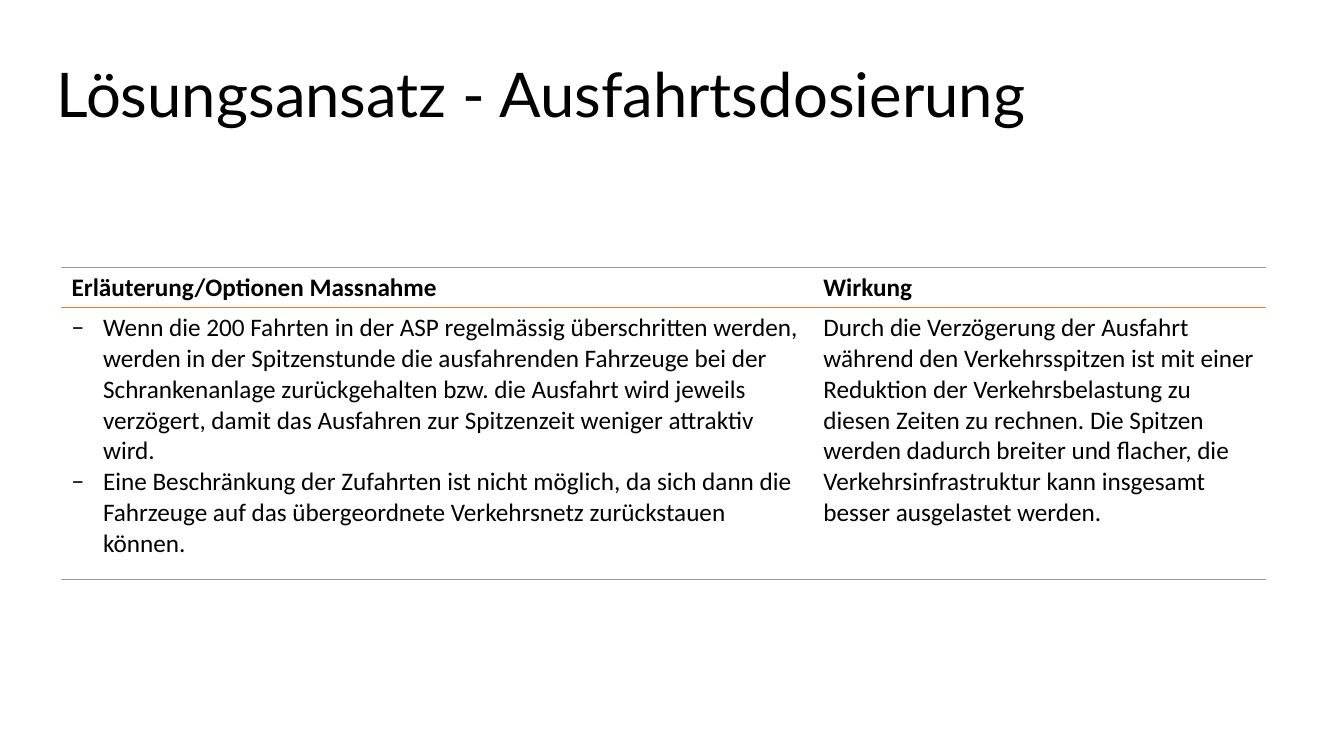
from lxml.etree import SubElement
from pptx import Presentation
from pptx.dml.color import RGBColor
from pptx.enum.text import MSO_ANCHOR as Anchor
from pptx.oxml.ns import qn
from pptx.util import Pt

BLACK = RGBColor(0x00, 0x00, 0x00)
ORANGE = RGBColor(0xED, 0x7D, 0x31)
GREY = RGBColor(0x99, 0x99, 0x99)

TITLE = "Lösungsansatz - Ausfahrtsdosierung"
HEADERS = ["Erläuterung/Optionen Massnahme", "Wirkung"]
MEASURES = [
    "Wenn die 200 Fahrten in der ASP regelmässig überschritten werden, werden in der "
    "Spitzenstunde die ausfahrenden Fahrzeuge bei der Schrankenanlage zurückgehalten bzw. "
    "die Ausfahrt wird jeweils verzögert, damit das Ausfahren zur Spitzenzeit weniger "
    "attraktiv wird.",
    "Eine Beschränkung der Zufahrten ist nicht möglich, da sich dann die Fahrzeuge auf das "
    "übergeordnete Verkehrsnetz zurückstauen können.",
]
EFFECT = (
    "Durch die Verzögerung der Ausfahrt während den Verkehrsspitzen ist mit einer Reduktion "
    "der Verkehrsbelastung zu diesen Zeiten zu rechnen. Die Spitzen werden dadurch breiter "
    "und flacher, die Verkehrsinfrastruktur kann insgesamt besser ausgelastet werden."
)


def style_font(font, name, size, bold=False):
    font.name, font.size, font.bold = name, Pt(size), bold
    font.color.rgb = BLACK


def add_title(page, left, top, width, height):
    box = page.shapes.add_textbox(Pt(left), Pt(top), Pt(width), Pt(height))
    frame = box.text_frame
    frame.word_wrap = True
    frame.vertical_anchor = Anchor.TOP
    frame.margin_top = Pt(4.7)
    frame.text = TITLE
    para = frame.paragraphs[0]
    para.line_spacing = 0.9
    style_font(para.runs[0].font, "Lato", 44)


def add_border(cell, side, color=None, width=0):
    line = SubElement(cell._tc.get_or_add_tcPr(), qn(f"a:ln{side}"), w=str(Pt(width)))
    if color is None:
        SubElement(line, qn("a:noFill"))
    else:
        fill = SubElement(line, qn("a:solidFill"))
        SubElement(fill, qn("a:srgbClr"), val=str(color))


def add_dash(para):
    properties = para._p.get_or_add_pPr()
    properties.set("marL", str(Pt(22.5)))
    properties.set("indent", str(Pt(-22.5)))
    SubElement(properties, qn("a:buFont"), typeface="Calibri")
    SubElement(properties, qn("a:buChar"), char="−")


def fill_cell(cell, texts, top_line, bottom_line, bold=False, dashed=False):
    # Borders come before the fill in the cell properties
    add_border(cell, "L")
    add_border(cell, "R")
    add_border(cell, "T", *top_line)
    add_border(cell, "B", *bottom_line)
    cell.fill.background()
    cell.text_frame.text = "\n".join(texts)
    for para in cell.text_frame.paragraphs:
        if dashed:
            add_dash(para)
        style_font(para.runs[0].font, "Calibri", 18, bold)


def add_measures_table(page, left, top, width, height):
    frame = page.shapes.add_table(2, 2, Pt(left), Pt(top), Pt(width), Pt(height))
    table = frame.table
    table.first_row = table.horz_banding = False
    first_width, header_height = 537, 29
    table.columns[0].width = Pt(first_width)
    table.columns[1].width = Pt(width - first_width)
    table.rows[0].height = Pt(header_height)
    table.rows[1].height = Pt(height - header_height)

    outer, divider = (GREY, 0.5), (ORANGE, 1)
    # Header row
    for column, header in enumerate(HEADERS):
        fill_cell(table.cell(0, column), [header], outer, divider, bold=True)
    # Body row
    fill_cell(table.cell(1, 0), MEASURES, divider, outer, dashed=True)
    fill_cell(table.cell(1, 1), [EFFECT], divider, outer)


def main():
    deck = Presentation()
    deck.slide_width, deck.slide_height = Pt(960), Pt(540)
    page = deck.slides.add_slide(deck.slide_layouts[6])
    add_title(page, 33.4, 41, 871, 104.5)
    add_measures_table(page, 43.9, 190.8, 860.4, 222.9)
    deck.save("out.pptx")


if __name__ == "__main__":
    main()
